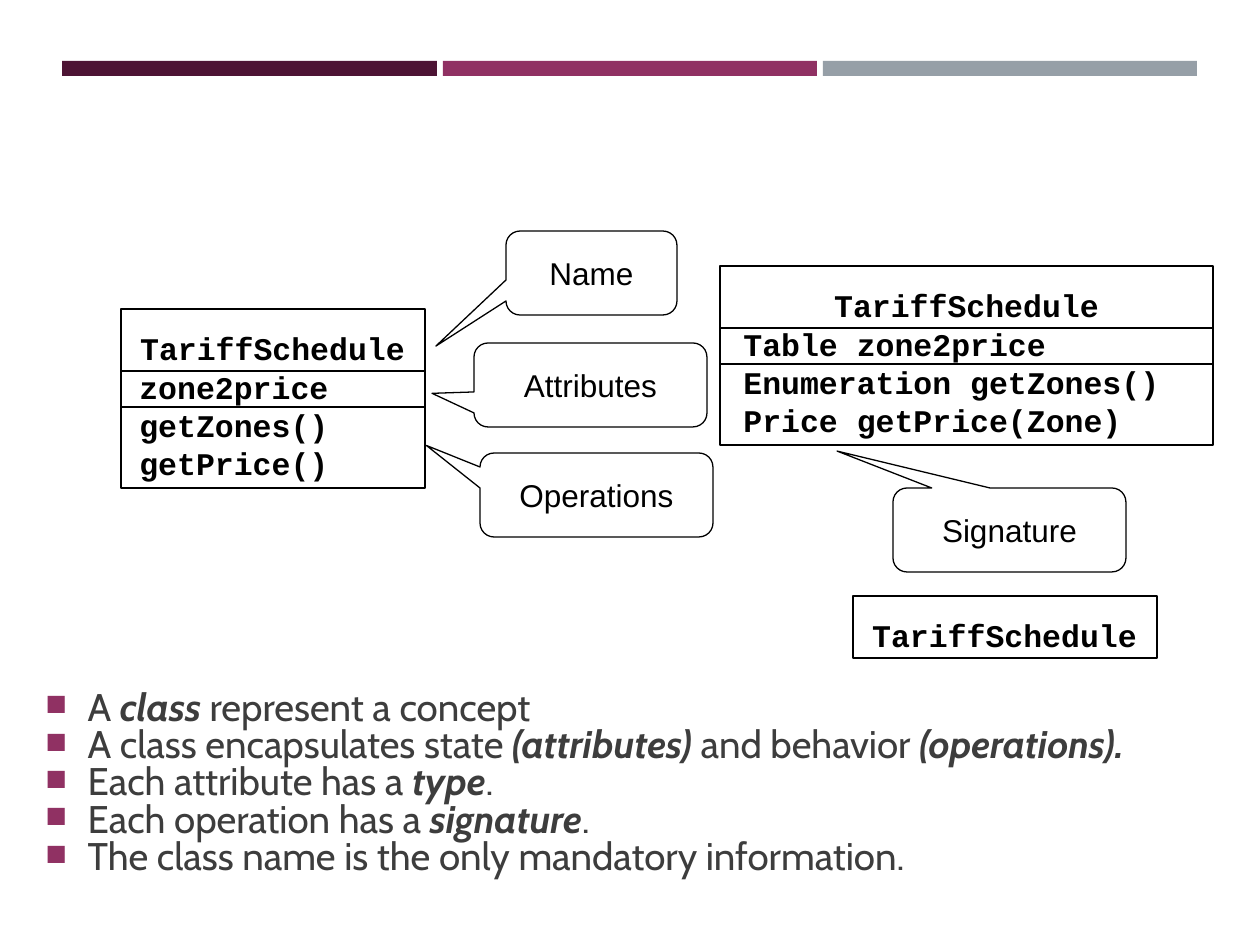
from lxml.etree import SubElement
from pptx import Presentation
from pptx.dml.color import RGBColor
from pptx.enum.shapes import MSO_SHAPE as Preset
from pptx.enum.text import MSO_ANCHOR as Anchor, MSO_AUTO_SIZE as AutoSize, PP_ALIGN as Align
from pptx.oxml.ns import qn
from pptx.util import Pt

PX = 914400 // 126
COLORS = {
    "plum": "4D1434", "berry": "903163", "slate": "969FA7",
    "ink": "000000", "paper": "FFFFFF", "body": "3D3D3D",
}
CODE = {"name": "Courier New", "size": Pt(18), "bold": True}
LABEL = {"name": "Arial", "size": Pt(18), "bold": False}
PROSE = {"name": "Cabin", "size": Pt(22)}
STRONG = {"bold": True, "italic": True}
LIST_SPACING = {"line_spacing": 0.6, "space_before": Pt(5.5), "space_after": Pt(0)}
NO_INSETS = dict.fromkeys(("margin_left", "margin_top", "margin_right", "margin_bottom"), 0)

CLASS_NAME = "TariffSchedule"
HEADER_HEIGHT, ATTRIBUTE_HEIGHT, OPERATION_HEIGHT = 62, 36, 81
NAME_WIDTH = 265

BARS = [(62, 375, "plum"), (443, 374, "berry"), (823, 374, "slate")]
CLASSES = [
    (121, 309, 304, 6, ["zone2price", "getZones()", "getPrice()"]),
    (720, 266, 493, 11, ["Table zone2price", "Enumeration getZones()", "Price getPrice(Zone)"]),
    (853, 596, 304, 0, []),
]
CALLOUTS = [
    ("Name", 506, 231, 171, (-0.91, 0.87)),
    ("Attributes", 474, 343, 233, (-0.68, 0.1)),
    ("Operations", 480, 453, 233, (-0.73, -0.59)),
    ("Signature", 893, 488, 233, (-0.74, -0.94)),
]
STATEMENTS = [
    ["A ", "class", " represent a concept"],
    ["A class encapsulates state ", "(attributes)", " and behavior ", "(operations)."],
    ["Each attribute has a ", "type", "."],
    ["Each operation has a ", "signature", "."],
    ["The class name is the only mandatory information."],
]


def px(*lengths):
    return [length * PX for length in lengths]


def rgb(color):
    return RGBColor.from_string(COLORS[color])


def apply(target, values):
    for key, value in values.items():
        setattr(target, key, value)


def add_run(paragraph, text, font, color):
    run = paragraph.add_run()
    run.text = text
    apply(run.font, font)
    run.font.color.rgb = rgb(color)


def add_box(shapes, preset, box, fill=None, line_width=None):
    shape = shapes.add_shape(preset, *px(*box))
    shape.shadow.inherit = False
    if fill:
        shape.fill.solid()
        shape.fill.fore_color.rgb = rgb(fill)
    else:
        shape.fill.background()
    if line_width:
        shape.line.color.rgb = rgb("ink")
        shape.line.width = Pt(line_width)
    else:
        shape.line.fill.background()
    return shape


def add_code(shapes, box, lines, align, frame_format):
    frame = shapes.add_textbox(*px(*box)).text_frame
    apply(frame, frame_format)
    for index, line in enumerate(lines):
        paragraph = frame.add_paragraph() if index else frame.paragraphs[0]
        paragraph.alignment = align
        add_run(paragraph, line, CODE, "ink")


def add_class(slide, left, top, width, indent, members):
    shapes = slide.shapes.add_group_shape().shapes
    heights = [HEADER_HEIGHT]
    if members:
        heights += [ATTRIBUTE_HEIGHT, OPERATION_HEIGHT]
        add_code(shapes, (left + indent, top + 53, width - 3, 126), members,
                 Align.LEFT, {"word_wrap": True})
    for index, height in enumerate(heights):
        box = (left, top + sum(heights[:index]), width, height)
        add_box(shapes, Preset.RECTANGLE, box, line_width=1.25)
    name_left = left + (width - NAME_WIDTH) // 2
    add_code(shapes, (name_left, top + 20, NAME_WIDTH, 38), [CLASS_NAME],
             Align.CENTER, {"word_wrap": False, **NO_INSETS})


def add_callout(slide, label, left, top, width, pointer):
    callout = add_box(slide.shapes, Preset.ROUNDED_RECTANGULAR_CALLOUT,
                      (left, top, width, 84), "paper", 0.75)
    for index, value in enumerate(pointer):
        callout.adjustments[index] = value
    frame = callout.text_frame
    apply(frame, {"word_wrap": False, "vertical_anchor": Anchor.MIDDLE})
    paragraph = frame.paragraphs[0]
    paragraph.alignment = Align.CENTER
    add_run(paragraph, label, LABEL, "ink")


def set_bullet(paragraph):
    properties = paragraph._p.get_or_add_pPr()
    properties.set("marL", str(42 * PX))
    properties.set("indent", str(-42 * PX))
    color = SubElement(properties, qn("a:buClr"))
    SubElement(color, qn("a:srgbClr"), val=COLORS["berry"])
    SubElement(properties, qn("a:buSzPct"), val="92000")
    SubElement(properties, qn("a:buFont"), typeface="Arial")
    SubElement(properties, qn("a:buChar"), char="■")


def fill_statements(body):
    apply(body, dict(zip(("left", "top", "width", "height"), px(33, 672, 1134, 231))))
    frame = body.text_frame
    apply(frame, {"word_wrap": True, "auto_size": AutoSize.NONE, "vertical_anchor": Anchor.MIDDLE})
    for index, parts in enumerate(STATEMENTS):
        paragraph = frame.add_paragraph() if index else frame.paragraphs[0]
        apply(paragraph, LIST_SPACING)
        set_bullet(paragraph)
        for position, part in enumerate(parts):
            emphasis = STRONG if position % 2 else {}
            add_run(paragraph, part, {**PROSE, **emphasis}, "body")


def main():
    deck = Presentation()
    apply(deck, dict(zip(("slide_width", "slide_height"), px(1260, 945))))
    slide = deck.slides.add_slide(deck.slide_layouts[1])
    title, body = slide.placeholders
    title.element.getparent().remove(title.element)
    for left, width, color in BARS:
        add_box(slide.shapes, Preset.RECTANGLE, (left, 61, width, 15), color)
    fill_statements(body)
    for diagram in CLASSES:
        add_class(slide, *diagram)
    for callout in CALLOUTS:
        add_callout(slide, *callout)
    deck.save("out.pptx")


if __name__ == "__main__":
    main()
